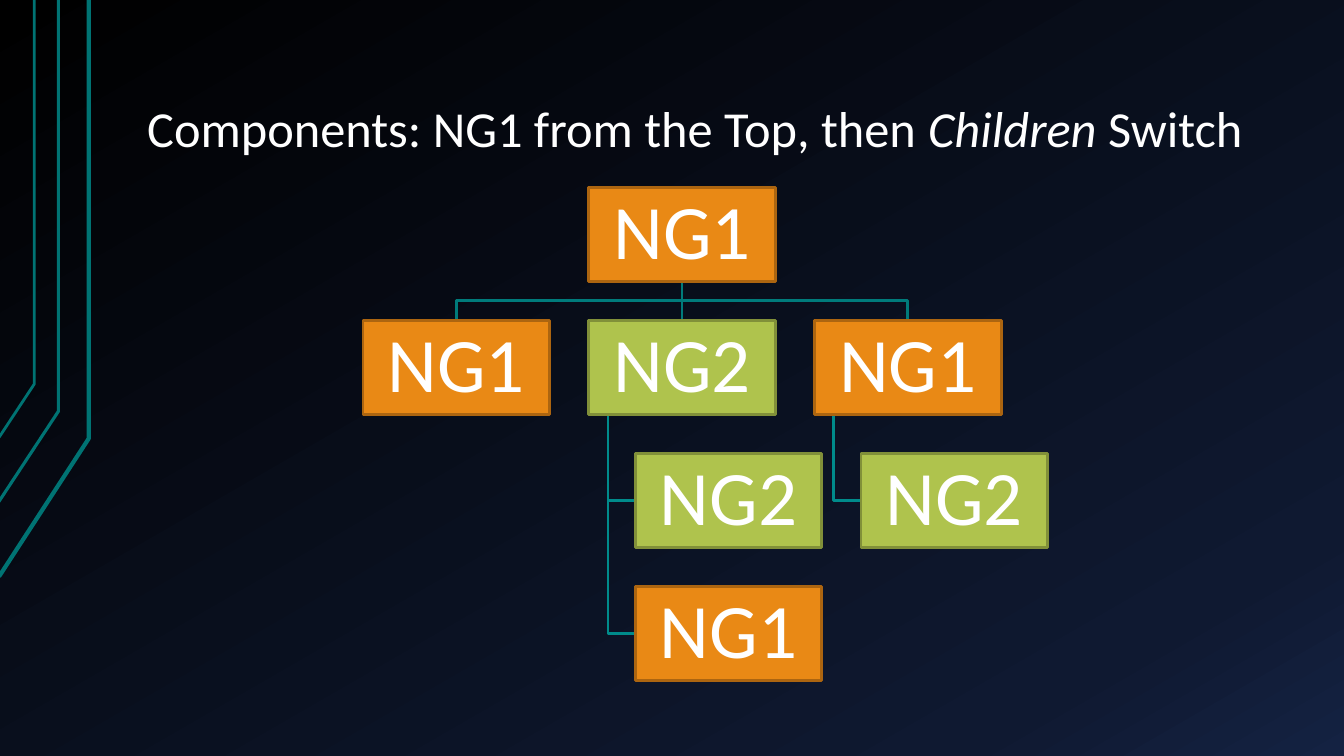
from copy import deepcopy

from pptx import Presentation
from pptx.dml.color import RGBColor
from pptx.enum.shapes import MSO_CONNECTOR, MSO_SHAPE
from pptx.enum.text import MSO_ANCHOR, PP_ALIGN
from pptx.oxml.ns import qn
from pptx.oxml.xmlchemy import OxmlElement
from pptx.util import Inches, Pt

RECTANGLE = MSO_SHAPE.RECTANGLE
STRAIGHT = MSO_CONNECTOR.STRAIGHT
CENTER = PP_ALIGN.CENTER
MIDDLE, BOTTOM = MSO_ANCHOR.MIDDLE, MSO_ANCHOR.BOTTOM

TITLE = [("Components: NG1 from the Top, then ", False), ("Children", True), (" Switch", False)]

# label, column, row, parent index; rows from 2 on hang indented below their parent
NODES = [
    ("NG1", 1, 0, None),
    ("NG1", 0, 1, 0),
    ("NG2", 1, 1, 0),
    ("NG1", 2, 1, 0),
    ("NG2", 1, 2, 2),
    ("NG1", 1, 3, 2),
    ("NG2", 2, 2, 3),
]

COLORS = {
    "text": "FFFFFF",
    "accent": "007373",
    "branch": "007B7B",
    "hanger": "008B8B",
    "NG1": "E98915",
    "NG1 edge": "AC6510",
    "NG2": "AFC34D",
    "NG2 edge": "819039",
}
BACKGROUND = [(0, "000000"), (0.85, "0F1931"), (1, "142242")]

# line width, points
ACCENTS = [
    (3, [(-0.01, 5.72), (0.88, 4.35), (0.88, 0)]),
    (2.25, [(-0.02, 4.99), (0.58, 4.08), (0.58, 0)]),
    (2, [(-0.01, 4.34), (0.34, 3.81), (0.34, 0)]),
]

LEFT, TOP = 3.6, 1.86
COLUMN_STEP, ROW_STEP = 2.24, 1.32
NODE_WIDTH, NODE_HEIGHT = 1.85, 0.93
INDENT, HANGER_INSET = 0.46, 0.19


def color(name):
    return RGBColor.from_string(COLORS[name])


def paint_background(page):
    fill = page.background.fill
    fill.gradient()
    fill.gradient_angle = 300
    stop_list = page.element.find(".//" + qn("a:gsLst"))
    stop_list.append(deepcopy(stop_list[-1]))
    for stop, (position, value) in zip(fill.gradient_stops, BACKGROUND):
        stop.position = position
        stop.color.rgb = RGBColor.from_string(value)


def draw_line(page, points, color_name, width=2):
    """Draw an open line: a connector for two points, a freeform for more."""
    points = [(Inches(x), Inches(y)) for x, y in points]
    if len(points) == 2:
        line = page.shapes.add_connector(STRAIGHT, *points[0], *points[1])
        line.element.spPr.append(OxmlElement("a:effectLst"))
    else:
        builder = page.shapes.build_freeform(*points[0])
        builder.add_line_segments(points[1:], close=False)
        line = builder.convert_to_shape()
        line.fill.background()
        line.shadow.inherit = False
    line.line.color.rgb = color(color_name)
    line.line.width = Pt(width)


def write(box, spans, size, anchor, insets, align=None):
    frame = box.text_frame
    side, end = map(Inches, insets)
    settings = {
        "word_wrap": True, "vertical_anchor": anchor,
        "margin_left": side, "margin_right": side,
        "margin_top": end, "margin_bottom": end,
    }
    for name, value in settings.items():
        setattr(frame, name, value)
    para = frame.paragraphs[0]
    para.alignment = align
    para.line_spacing = 0.9
    for text, italic in spans:
        span = para.add_run()
        span.text = text
        for name, value in {"name": "Calibri", "size": Pt(size), "italic": italic}.items():
            setattr(span.font, name, value)
        span.font.color.rgb = color("text")


def node_corner(node):
    _, column, row, _ = node
    indent = INDENT if row > 1 else 0
    return LEFT + column * COLUMN_STEP + indent, TOP + row * ROW_STEP


def link_points(parent, child):
    """Return the route from a parent to a child and its colour name."""
    parent_x, parent_y = node_corner(parent)
    x, y = node_corner(child)
    start_y = parent_y + NODE_HEIGHT
    if child[2] > 1:
        trunk, middle = parent_x + HANGER_INSET, y + NODE_HEIGHT / 2
        return [(trunk, start_y), (trunk, middle), (x, middle)], "hanger"
    start_x, end_x = parent_x + NODE_WIDTH / 2, x + NODE_WIDTH / 2
    if parent[1] == child[1]:
        return [(start_x, start_y), (end_x, y)], "branch"
    bend = (start_y + y) / 2
    return [(start_x, start_y), (start_x, bend), (end_x, bend), (end_x, y)], "branch"


def draw_node(page, node):
    label = node[0]
    x, y = node_corner(node)
    box = page.shapes.add_shape(
        RECTANGLE, Inches(x), Inches(y), Inches(NODE_WIDTH), Inches(NODE_HEIGHT))
    box.shadow.inherit = False
    box.fill.solid()
    box.fill.fore_color.rgb = color(label)
    box.line.color.rgb = color(label + " edge")
    box.line.width = Pt(2)
    write(box, [(label, False)], 55, MIDDLE, (0.04, 0.04), CENTER)


def main():
    deck = Presentation()
    deck.slide_width, deck.slide_height = Inches(13.33), Inches(7.5)
    page = deck.slides.add_slide(deck.slide_layouts[6])
    paint_background(page)
    for width, points in ACCENTS:
        draw_line(page, points, "accent", width)

    title = page.shapes.add_textbox(Inches(1.33), Inches(0.3), Inches(11.33), Inches(1.34))
    write(title, TITLE, 36, BOTTOM, (0.13, 0.07))

    for node in NODES:
        if node[3] is not None:
            draw_line(page, *link_points(NODES[node[3]], node))
    for node in NODES:
        draw_node(page, node)
    deck.save("out.pptx")


if __name__ == "__main__":
    main()
